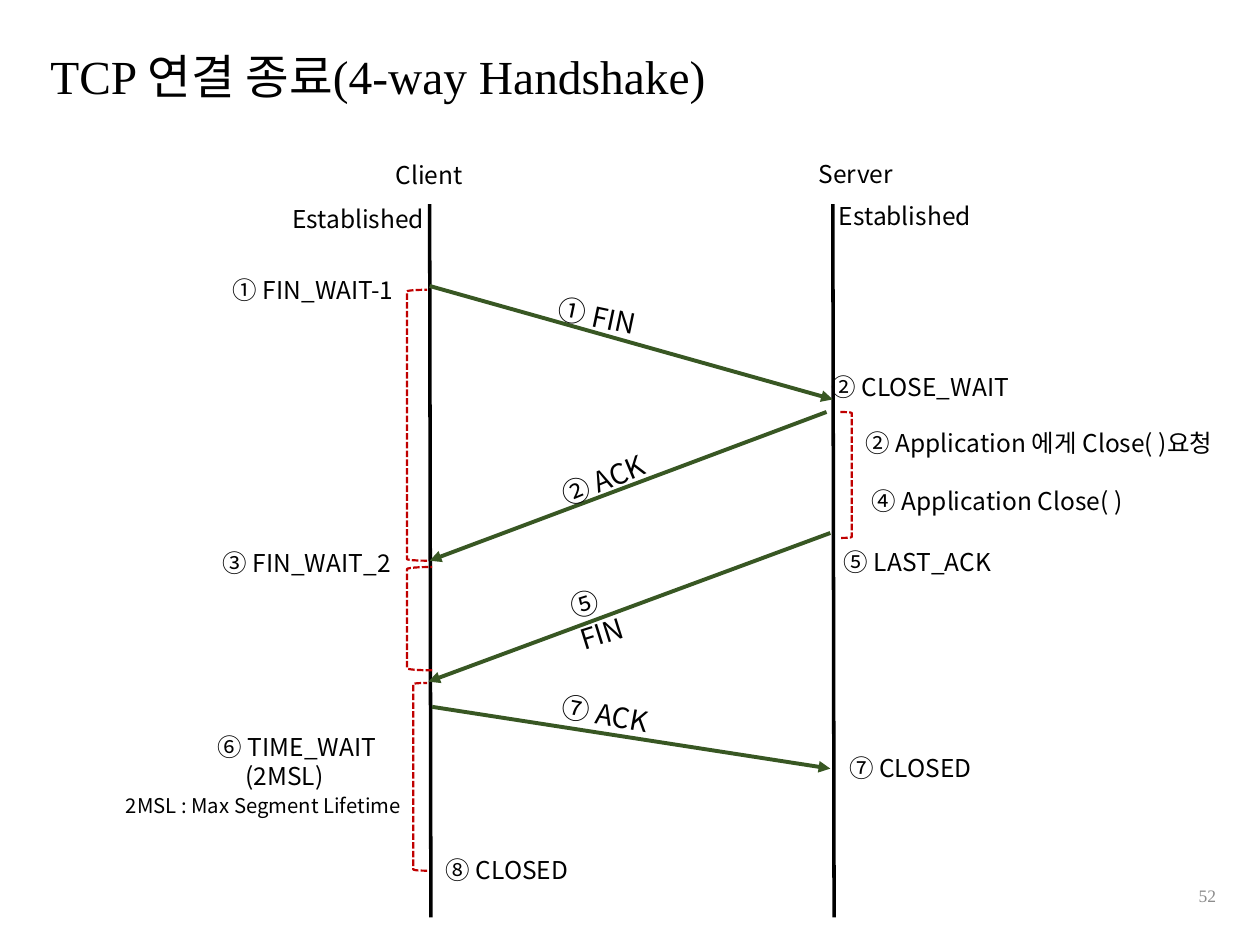
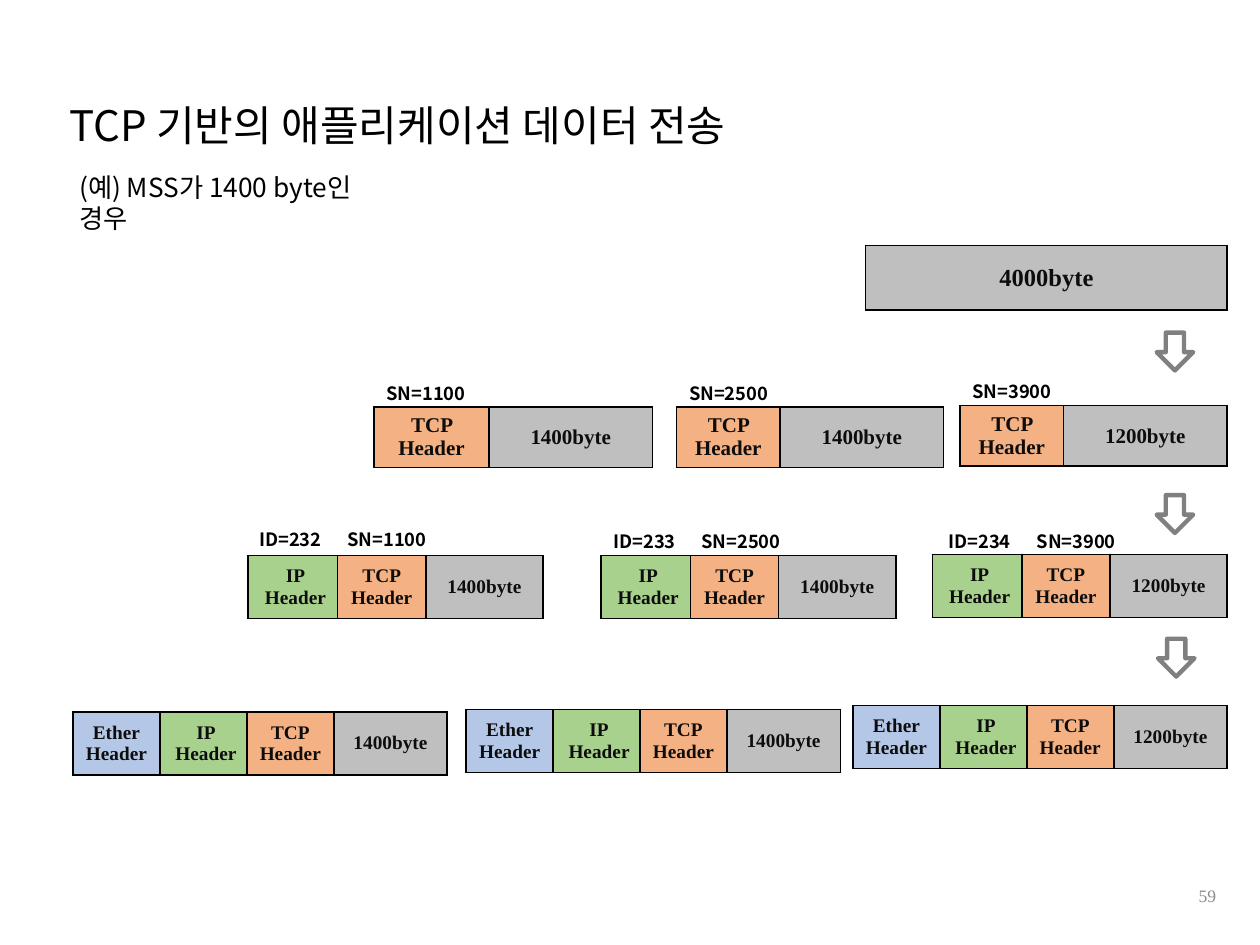
from lxml.etree import SubElement
from pptx import Presentation
from pptx.dml.color import RGBColor
from pptx.enum.dml import MSO_LINE
from pptx.enum.shapes import MSO_CONNECTOR, MSO_SHAPE
from pptx.enum.text import MSO_ANCHOR, MSO_AUTO_SIZE, PP_ALIGN
from pptx.oxml.ns import qn
from pptx.util import Inches, Pt

COLORS = {
    "text": "000000", "number": "8C8C8C", "message": "385723",
    "bracket": "C00000", "arrow": "808080", "cell_text": "0D0D0D",
    "TCP": "F4B183", "IP": "A9D18E", "Ether": "B4C7E7", "data": "BFBFBF",
}
SANS, SERIF = "Noto Sans CJK KR", "Times New Roman"
TITLE_ONLY = 5


def color(name):
    return RGBColor.from_string(COLORS[name])


def lengths(*values):
    return [Inches(value) for value in values]


def set_values(target, values):
    for name, value in values.items():
        setattr(target, name, value)


def format_frame(frame, size, font=SANS, shade="text", bold=False, align=PP_ALIGN.LEFT):
    """Give all spans of a text frame one format, with a Korean fallback font."""
    for para in frame.paragraphs:
        para.alignment = align
        for span in para.runs:
            set_values(span.font, {"size": Pt(size), "name": font, "bold": bold})
            span.font.color.rgb = color(shade)
            SubElement(span.font._element, qn("a:ea"), typeface=SANS)


def add_label(page, text, left, top, width, height=0.34, size=14,
              rotation=0, anchor=MSO_ANCHOR.TOP, **style):
    box = page.shapes.add_textbox(*lengths(left, top, width, height))
    box.rotation = rotation
    frame = box.text_frame
    frame.text = text
    set_values(frame, {"word_wrap": True, "vertical_anchor": anchor})
    format_frame(frame, size, **style)


def add_page(deck, title, title_box, number, size, anchor, font=SANS, indent=0.1, spacing=1.0):
    """Start a page with its title and its page number."""
    page = deck.slides.add_slide(deck.slide_layouts[TITLE_ONLY])
    heading = page.shapes.title
    set_values(heading, dict(zip(("left", "top", "width", "height"), lengths(*title_box))))
    frame = heading.text_frame
    frame.text = title
    set_values(frame, {"auto_size": MSO_AUTO_SIZE.NONE, "word_wrap": True,
                       "vertical_anchor": anchor, "margin_left": Inches(indent)})
    frame.paragraphs[0].line_spacing = spacing
    format_frame(frame, size, font)
    add_label(page, number, 7.5, 6.91, 2.25, 0.4, 10, anchor=MSO_ANCHOR.MIDDLE,
              font=SERIF, shade="number", align=PP_ALIGN.RIGHT)
    return page


def add_line(page, start, end, shade, width, arrow=False):
    line = page.shapes.add_connector(MSO_CONNECTOR.STRAIGHT, *lengths(*start, *end))
    line.line.color.rgb = color(shade)
    line.line.width = Pt(width)
    if arrow:
        SubElement(line.line._get_or_add_ln(), qn("a:tailEnd"), type="triangle")
    SubElement(line._element.spPr, qn("a:effectLst"))


def add_outline(page, kind, box, shade, width, dash=None):
    shape = page.shapes.add_shape(kind, *lengths(*box))
    shape.shadow.inherit = False
    shape.fill.background()
    shape.line.color.rgb = color(shade)
    set_values(shape.line, {"width": Pt(width), "dash_style": dash})


# Handshake page
def draw_timelines(page):
    for left in (3.41, 6.61):
        add_line(page, (left, 1.62), (left + 0.01, 7.28), "text", 2)


def draw_messages(page):
    messages = [
        ((3.41, 2.27), (6.61, 3.17), "① FIN", (4.33, 2.34, 0.95), 11.9),
        ((6.56, 3.27), (3.41, 4.45), "② ACK", (4.34, 3.61, 0.96), 337.4),
        ((6.59, 4.23), (3.4, 5.41), "⑤ FIN", (4.42, 4.55, 0.81), 342.6),
        ((3.43, 5.61), (6.59, 6.1), "⑦ ACK", (4.36, 5.49, 0.96), 10.4),
    ]
    for start, end, text, box, rotation in messages:
        add_line(page, start, end, "message", 2.25, arrow=True)
        add_label(page, text, *box, 0.37, 16, rotation)


def draw_states(page):
    states = [
        ("Client", 3.04, 1.22, 0.9), ("Server", 6.4, 1.21, 0.9),
        ("Established", 2.22, 1.57, 1.72), ("Established", 6.56, 1.55, 1.72),
        ("① FIN_WAIT-1", 1.75, 2.13, 1.72), ("② CLOSE_WAIT", 6.5, 2.9, 1.9),
        ("② Application 에게 Close( )요청", 6.77, 3.35, 3.2),
        ("④ Application Close( )", 6.82, 3.81, 3),
        ("③ FIN_WAIT_2", 1.67, 4.3, 1.7), ("⑤ LAST_ACK", 6.6, 4.29, 1.6),
        ("⑥ TIME_WAIT", 1.63, 5.76, 1.6), ("(2MSL)", 1.85, 5.99, 1.2),
        ("⑦ CLOSED", 6.64, 5.93, 1.4), ("⑧ CLOSED", 3.44, 6.74, 1.4),
    ]
    for state in states:
        add_label(page, *state)
    add_label(page, "2MSL : Max Segment Lifetime", 0.9, 6.25, 2.6, 0.3, 11.6)


def draw_brackets(page):
    brackets = [
        (MSO_SHAPE.LEFT_BRACKET, (3.23, 2.3, 0.16, 2.15)),
        (MSO_SHAPE.LEFT_BRACKET, (3.23, 4.5, 0.2, 0.82)),
        (MSO_SHAPE.LEFT_BRACKET, (3.28, 5.42, 0.11, 1.49)),
        (MSO_SHAPE.RIGHT_BRACKET, (6.67, 3.27, 0.09, 1)),
    ]
    for kind, box in brackets:
        add_outline(page, kind, box, "bracket", 1.25, MSO_LINE.SQUARE_DOT)


def build_handshake(deck):
    page = add_page(deck, "TCP 연결 종료(4-way Handshake)", (0, 0.16, 8.63, 0.93), "52",
                    27.1, MSO_ANCHOR.MIDDLE, SERIF, indent=0.4, spacing=0.9)
    draw_timelines(page)
    draw_messages(page)
    draw_states(page)
    draw_brackets(page)


# Encapsulation page
def fill_cell(cell, text, kind, size):
    borders = cell._tc.get_or_add_tcPr()
    for side in ("lnL", "lnR", "lnT", "lnB"):
        border = SubElement(borders, qn(f"a:{side}"), w=str(Pt(1)))
        paint = SubElement(border, qn("a:solidFill"))
        SubElement(paint, qn("a:srgbClr"), val=COLORS["text"])
    cell.fill.solid()
    cell.fill.fore_color.rgb = color(kind)
    left_margin = 0.11 if kind == "IP" else 0.07
    margins = lengths(left_margin, 0.07, 0.04, 0.04)
    names = ("margin_left", "margin_right", "margin_top", "margin_bottom")
    set_values(cell, {"vertical_anchor": MSO_ANCHOR.MIDDLE, **dict(zip(names, margins))})
    cell.text_frame.text = text
    format_frame(cell.text_frame, size, SERIF, "cell_text", True, PP_ALIGN.CENTER)


def draw_packet(page, left, top, height, headers, widths, data, size, gap="\n"):
    """Draw one packet as a row of headers followed by its data."""
    frame = page.shapes.add_table(1, len(widths), *lengths(left, top, sum(widths), height))
    table = frame.table
    set_values(table, {"first_row": False, "horz_banding": False})
    table.rows[0].height = Inches(height)
    texts = [f"{header}{gap}Header" for header in headers] + [data]
    for index, (text, kind) in enumerate(zip(texts, [*headers, "data"])):
        table.columns[index].width = Inches(widths[index])
        fill_cell(table.cell(0, index), text, kind, size)


def draw_tag(page, text, left, top):
    add_label(page, text, left, top, 0.95, 0.28, 10.5, bold=True)


def draw_layers(page):
    sizes = ("1400byte", "1400byte", "1200byte")
    numbers = ("SN=1100", "SN=2500", "SN=3900")
    draw_packet(page, 6.87, 1.95, 0.51, [], [2.87], "4000byte", 14)

    # TCP segments
    segments = [(2.97, 3.23, 0.91), (5.37, 3.23, 0.82), (7.62, 3.22, 0.82)]
    for (left, top, width), data, number in zip(segments, sizes, numbers):
        draw_packet(page, left, top, 0.47, ["TCP"], [width, 1.3], data, 12, " ")
        draw_tag(page, number, left, top - 0.25)

    # IP packets
    packets = [(1.97, 4.41, 1.96, 4.14), (4.77, 4.41, 4.77, 4.16), (7.4, 4.4, 7.43, 4.16)]
    identifiers = ("ID=232", "ID=233", "ID=234")
    for (left, top, tag_left, tag_top), data, number, identifier in zip(
            packets, sizes, numbers, identifiers):
        draw_packet(page, left, top, 0.5, ["IP", "TCP"], [0.71, 0.7, 0.93], data, 11)
        draw_tag(page, identifier, tag_left, tag_top)
        draw_tag(page, number, tag_left + 0.7, tag_top)

    # Ethernet frames
    for (left, top), data in zip([(0.58, 5.65), (3.7, 5.63), (6.77, 5.6)], sizes):
        draw_packet(page, left, top, 0.5, ["Ether", "IP", "TCP"],
                    [0.69, 0.69, 0.69, 0.9], data, 11)


def draw_steps(page):
    for left, top in ((9.18, 2.64), (9.18, 3.93), (9.19, 5.07)):
        add_outline(page, MSO_SHAPE.DOWN_ARROW, (left, top, 0.29, 0.3), "arrow", 2.5)


def build_encapsulation(deck):
    page = add_page(deck, "TCP 기반의 애플리케이션 데이터 전송", (0.45, 0.74, 5.86, 0.5), "59",
                    24, MSO_ANCHOR.TOP)
    add_label(page, "(예) MSS가 1400 byte인 경우", 0.53, 1.31, 2.75, 0.35, 15)
    draw_layers(page)
    draw_steps(page)


def main():
    deck = Presentation()
    deck.slide_width, deck.slide_height = lengths(10, 7.5)
    build_handshake(deck)
    build_encapsulation(deck)
    deck.save("out.pptx")


if __name__ == "__main__":
    main()
